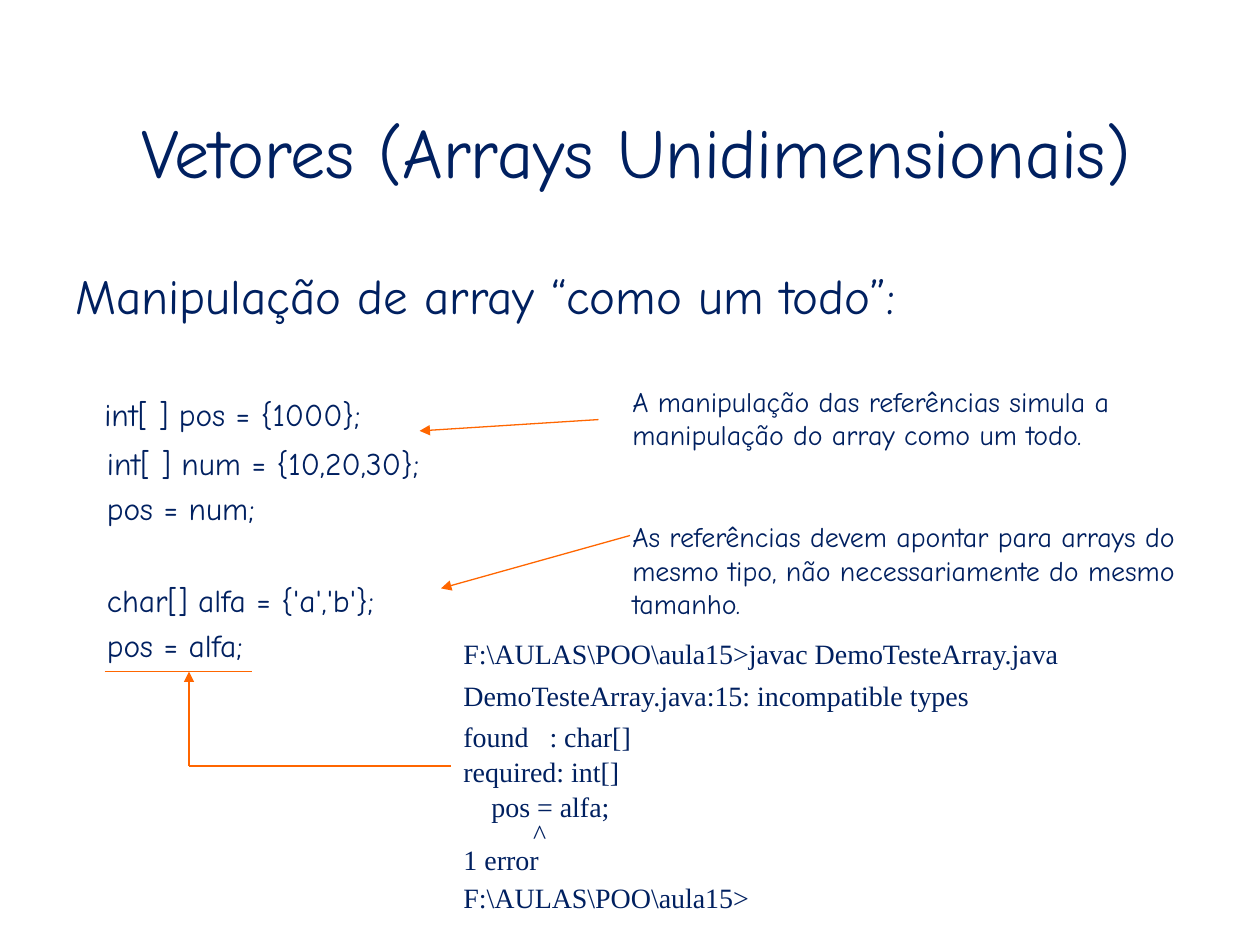
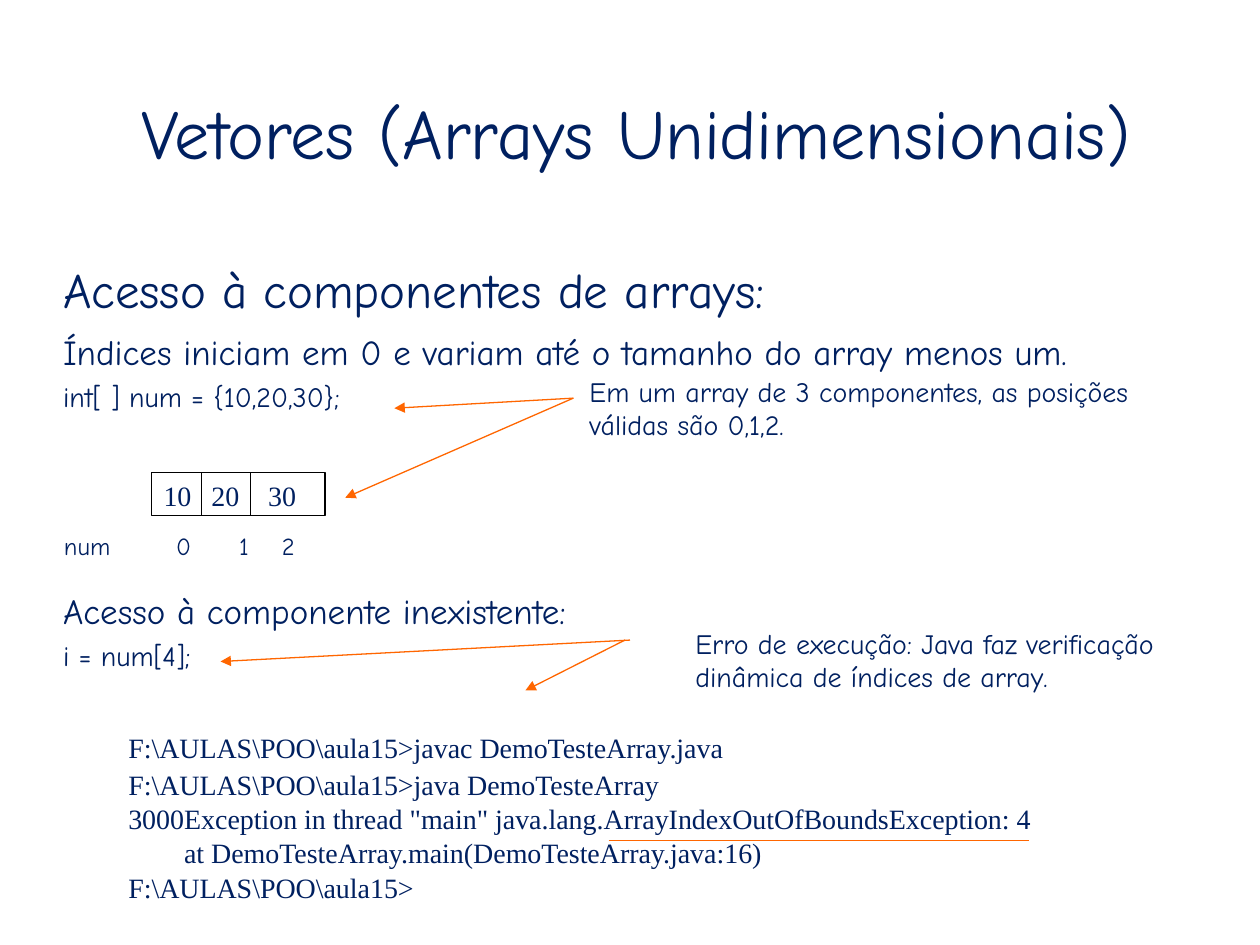
from pptx import Presentation
from pptx.dml.color import RGBColor
from pptx.enum.shapes import MSO_CONNECTOR, MSO_SHAPE
from pptx.enum.text import MSO_ANCHOR as Anchor, PP_ALIGN as Align
from pptx.oxml.ns import qn
from pptx.util import Inches, Pt
from lxml.etree import SubElement

COLORS = {"text": "002060", "accent": "FF6600", "grid": "000000"}
HAND, SERIF = "Comic Neue", "Times New Roman"
INSETS = (0.1, 0.05)
NO_INSETS = (0, 0)
PROMPT = "F:\\AULAS\\POO\\aula15>"


def rgb(name):
    return RGBColor.from_string(COLORS[name])


def set_tabs(para, stops):
    tab_list = SubElement(para._p.get_or_add_pPr(), qn("a:tabLst"))
    for stop in stops:
        SubElement(tab_list, qn("a:tab"), pos=str(Inches(stop)), algn="l")


def write_para(para, text, size=16, font=HAND, before=0, spacing=None,
               indent=0, align=None, tabs=()):
    if indent:
        para._p.get_or_add_pPr().set("marL", str(Inches(indent)))
    if align is not None:
        para.alignment = align
    if spacing:
        para.line_spacing = spacing
    para.space_before = Pt(before)
    if tabs:
        set_tabs(para, tabs)
    span = para.add_run()
    span.text = text
    span.font.name = font
    span.font.size = Pt(size)
    span.font.color.rgb = rgb("text")


def add_text(page, at, *lines, insets=INSETS, anchor=Anchor.TOP, **shared):
    """Add a text box; each line is (text, format), on top of the shared format."""
    box = page.shapes.add_textbox(*map(Inches, at))
    frame = box.text_frame
    frame.word_wrap = True
    frame.vertical_anchor = anchor
    frame.margin_left = frame.margin_right = Inches(insets[0])
    frame.margin_top = frame.margin_bottom = Inches(insets[1])
    for index, (text, style) in enumerate(lines):
        para = frame.add_paragraph() if index else frame.paragraphs[0]
        write_para(para, text, **{**shared, **style})


def add_title(page, top, height, **layout):
    add_text(page, (0.17, top, 9.75, height),
             ("Vetores (Arrays Unidimensionais)", {}),
             size=40, align=Align.CENTER, **layout)


def add_console(page, at, first, *lines):
    """Add compiler output: the first line, then (text, line spacing) pairs."""
    rest = [(text, {"spacing": spacing, "before": 10}) for text, spacing in lines]
    add_text(page, at, (first, {}), *rest, font=SERIF)


def add_line(page, start, end, color="accent", arrow=False):
    line = page.shapes.add_connector(
        MSO_CONNECTOR.STRAIGHT, *map(Inches, (*start, *end)))
    line.line.color.rgb = rgb(color)
    line.line.width = Pt(0.75)
    if arrow:
        SubElement(line.line._get_or_add_ln(), qn("a:tailEnd"), type="triangle")
    SubElement(line._element.spPr, qn("a:effectLst"))


def add_array(page, left, top, width, height, dividers):
    frame = page.shapes.add_shape(
        MSO_SHAPE.RECTANGLE, *map(Inches, (left, top, width, height)))
    frame.shadow.inherit = False
    frame.fill.background()
    frame.line.color.rgb = rgb("grid")
    frame.line.width = Pt(0.75)
    for x in dividers:
        add_line(page, (x, top), (x, top + height), color="grid")


def build_whole_array_slide(page):
    add_title(page, 0.5, 1.08, anchor=Anchor.BOTTOM)
    code = {"size": 18, "indent": 0.25, "before": 4.5}
    add_text(page, (0.5, 2.06, 8.94, 4.56),
             ("Manipulação de array “como um todo”:", {"size": 28}),
             ("int[ ] pos = {1000};", {**code, "indent": 0.23, "before": 40}),
             ("int[ ] num = {10,20,30};", {**code, "before": 6.5}),
             ("pos = num;", code),
             ("char[] alfa = {'a','b'};", {**code, "before": 30.5}),
             ("pos = alfa;", code))
    add_text(page, (4.92, 3, 5.08, 1.98),
             ("A manipulação das referências simula a manipulação do array "
              "como um todo.", {}),
             ("As referências devem apontar para arrays do mesmo tipo, não "
              "necessariamente do mesmo tamanho.", {"before": 39}))
    add_line(page, (4.75, 3.33), (3.33, 3.42), arrow=True)
    add_line(page, (5, 4.25), (3.5, 4.67), arrow=True)
    add_console(page, (3.58, 5, 5.92, 2.3),
                PROMPT + "javac DemoTesteArray.java",
                ("DemoTesteArray.java:15: incompatible types", 0.7),
                ("found   : char[]", 0.7),
                ("required: int[]", 0.5),
                ("    pos = alfa;", 0.5),
                ("          ^", 0.25),
                ("1 error", 0.25),
                (PROMPT, 0.7))
    add_line(page, (0.83, 5.33), (2, 5.33))
    corner = (1.5, 6.08)
    add_line(page, corner, (1.5, 5.33), arrow=True)
    add_line(page, corner, (3.58, 6.08))


def build_access_slide(page):
    add_title(page, 0.71, 0.67, anchor=Anchor.MIDDLE, insets=NO_INSETS)
    add_text(page, (0.5, 2.06, 8.95, 3.29),
             ("Acesso à componentes de arrays:", {"size": 28}),
             ("Índices iniciam em 0 e variam até o tamanho do array menos um.",
              {"size": 20, "before": 7}),
             ("int[ ] num = {10,20,30};", {"before": 4}),
             ("Acesso à componente inexistente:", {"size": 20, "before": 101}),
             ("i = num[4];", {"before": 4}),
             insets=NO_INSETS)
    add_text(page, (4.58, 2.92, 5.08, 0.64),
             ("Em um array de 3 componentes, as posições válidas são 0,1,2.", {}))
    add_array(page, 1.2, 3.75, 1.38, 0.34, dividers=(1.6, 1.99))
    add_text(page, (1.2, 3.75, 1.73, 0.37),
             ("10\t20\t30", {"font": SERIF, "tabs": (0.38, 0.83)}))
    add_text(page, (0.41, 4.13, 2.16, 0.37),
             ("num\t0\t1\t2",
              {"size": 14, "spacing": 1.17, "tabs": (0.89, 1.39, 1.73)}))
    add_text(page, (5.42, 4.92, 4.58, 0.64),
             ("Erro de execução: Java faz verificação dinâmica de índices "
              "de array.", {}))
    for end in ((2.74, 3.95), (3.13, 3.24)):
        add_line(page, (4.55, 3.16), end, arrow=True)
    add_console(page, (0.92, 5.75, 8.67, 1.46),
                PROMPT + "javac DemoTesteArray.java",
                (PROMPT + "java DemoTesteArray", 0.5),
                ('3000Exception in thread "main" '
                 "java.lang.ArrayIndexOutOfBoundsException: 4", 0.5),
                ("        at DemoTesteArray.main(DemoTesteArray.java:16)", 0.5),
                (PROMPT, 0.5))
    add_line(page, (4.96, 5.08), (4.17, 5.48), arrow=True)
    add_line(page, (5, 5.08), (1.75, 5.25), arrow=True)
    add_line(page, (4.83, 6.67), (8.17, 6.67))


def main():
    deck = Presentation()
    deck.slide_width, deck.slide_height = Inches(10), Inches(7.5)
    blank = deck.slide_layouts[6]
    for build in (build_whole_array_slide, build_access_slide):
        build(deck.slides.add_slide(blank))
    deck.save("out.pptx")


if __name__ == "__main__":
    main()
